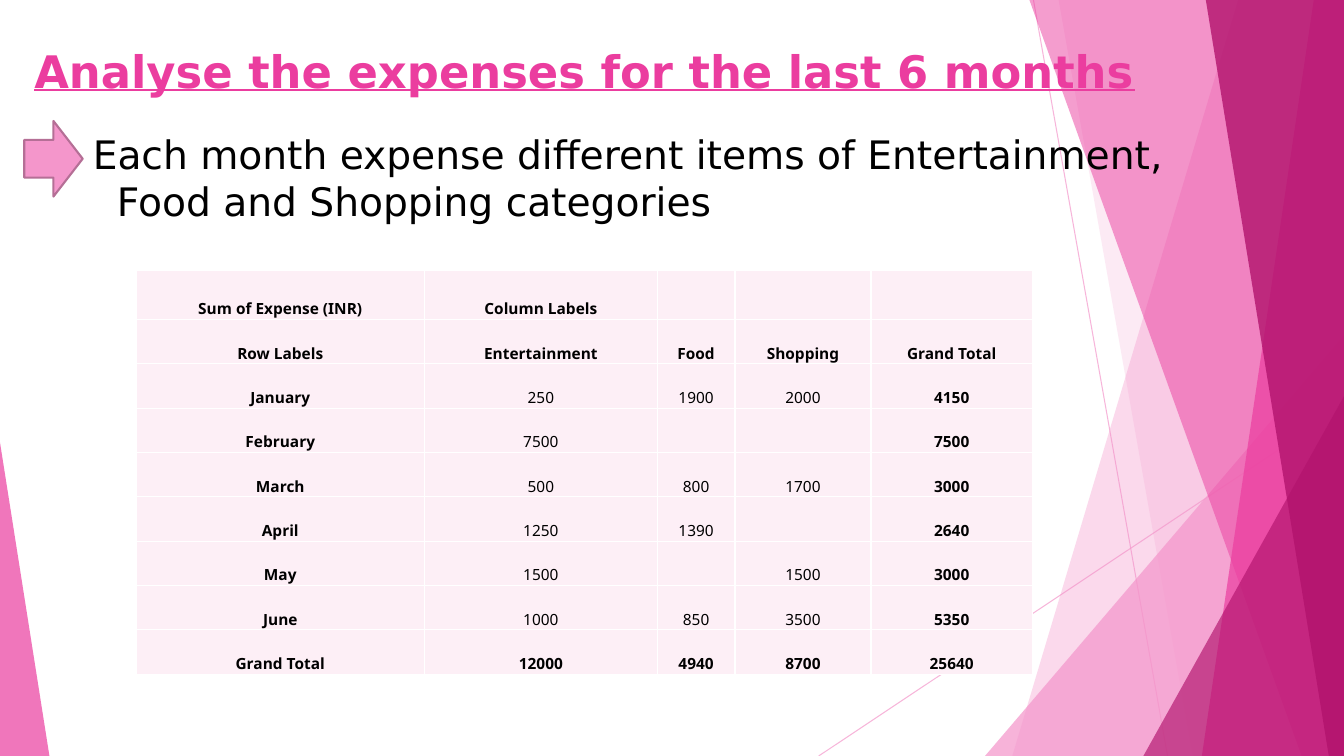
"""Build a slide that summarises six months of expenses."""
from dataclasses import dataclass

from lxml import etree
from pptx import Presentation
from pptx.dml.color import RGBColor
from pptx.enum.shapes import MSO_CONNECTOR, MSO_SHAPE
from pptx.enum.text import MSO_ANCHOR, PP_ALIGN
from pptx.oxml.ns import qn
from pptx.util import Inches, Pt

STRAIGHT = MSO_CONNECTOR.STRAIGHT
TRIANGLE, RIGHT_ARROW = MSO_SHAPE.ISOSCELES_TRIANGLE, MSO_SHAPE.RIGHT_ARROW
LEFT, CENTER = PP_ALIGN.LEFT, PP_ALIGN.CENTER
TOP, MIDDLE, BOTTOM = MSO_ANCHOR.TOP, MSO_ANCHOR.MIDDLE, MSO_ANCHOR.BOTTOM
WIDTH, HEIGHT = 13.33, 7.5
TITLE_ONLY = 5


@dataclass(frozen=True)
class Theme:
    """Colours, fonts and type sizes."""
    light: str = "F496CB"
    pink: str = "EB3D9F"
    dark: str = "B2136D"
    arrow_edge: str = "B56F96"
    cell: str = "FDEFF6"
    ink: str = "000000"
    white: str = "FFFFFF"
    font: str = "DejaVu Sans"
    table_font: str = "Noto Sans"
    title_size: int = 32
    body_size: int = 28
    table_size: int = 11


class SlideBuilder:
    """Hold the theme and the current slide, and draw elements on it."""

    def __init__(self, page, theme):
        """Keep the slide and its theme."""
        self.page = page
        self.theme = theme

    def paint(self, fmt, color, opacity=100):
        """Apply a solid colour with an opacity in percent."""
        fmt.solid()
        fmt.fore_color.rgb = RGBColor.from_string(color)
        if opacity < 100:
            for node in fmt.fore_color._xFill.iter(qn("a:srgbClr")):
                etree.SubElement(node, qn("a:alpha"), val=str(opacity * 1000))

    def style(self, para, size, color, font, bold=False, align=LEFT):
        """Set the font and alignment of a paragraph."""
        para.alignment = align
        para.font.size = Pt(size)
        para.font.name = font
        para.font.bold = bold
        para.font.color.rgb = RGBColor.from_string(color)

    def line(self, x1, y1, x2, y2):
        """Draw a thin translucent line."""
        line = self.page.shapes.add_connector(
            STRAIGHT, Inches(x1), Inches(y1), Inches(x2), Inches(y2))
        line.line.width = Pt(0.75)
        self.paint(line.line.fill, self.theme.light, 70)
        etree.SubElement(line.element.spPr, qn("a:effectLst"))

    def facet(self, top_x, bottom_x, color, opacity):
        """Draw a full-height facet that reaches the right edge."""
        builder = self.page.shapes.build_freeform(Inches(top_x), 0)
        corners = [(WIDTH, 0), (WIDTH, HEIGHT), (bottom_x, HEIGHT)]
        builder.add_line_segments([(Inches(x), Inches(y)) for x, y in corners])
        self.finish(builder.convert_to_shape(), color, opacity)

    def triangle(self, left, top, width, apex, color, opacity):
        """Draw a triangle that stands on the bottom edge."""
        shape = self.page.shapes.add_shape(
            TRIANGLE, Inches(left), Inches(top), Inches(width), Inches(HEIGHT - top))
        shape.adjustments[0] = apex
        self.finish(shape, color, opacity)

    def arrow(self, left, top, width, height):
        """Draw an outlined block arrow that points right."""
        shape = self.page.shapes.add_shape(
            RIGHT_ARROW, Inches(left), Inches(top), Inches(width), Inches(height))
        self.finish(shape, self.theme.light)
        self.paint(shape.line.fill, self.theme.arrow_edge)
        shape.line.width = Pt(1.5)

    def finish(self, shape, color, opacity=100):
        """Fill a shape and clear its outline and shadow."""
        shape.shadow.inherit = False
        self.paint(shape.fill, color, opacity)
        shape.line.fill.background()

    def title(self, text, left, top, width, height):
        """Fill the title placeholder and bring it to the front."""
        box = self.page.shapes.title
        box.left, box.top = Inches(left), Inches(top)
        box.width, box.height = Inches(width), Inches(height)
        box.element.getparent().append(box.element)
        frame = box.text_frame
        frame.text = text
        frame.vertical_anchor = TOP
        frame.margin_top = Inches(0.08)
        para = frame.paragraphs[0]
        self.style(para, self.theme.title_size, self.theme.pink, self.theme.font, True)
        para.font.underline = True

    def body(self, text, left, top, width, height, hanging):
        """Add a paragraph with a hanging indent."""
        box = self.page.shapes.add_textbox(
            Inches(left), Inches(top), Inches(width), Inches(height))
        frame = box.text_frame
        frame.word_wrap = True
        frame.vertical_anchor = MIDDLE
        frame.margin_left = 0
        frame.text = text
        para = frame.paragraphs[0]
        self.style(para, self.theme.body_size, self.theme.ink, self.theme.font)
        properties = para._p.get_or_add_pPr()
        properties.set("marL", str(Inches(hanging)))
        properties.set("indent", str(-Inches(hanging)))

    def table(self, rows, left, top, widths, heights):
        """Add a table with bold headers and totals."""
        table = self.page.shapes.add_table(
            len(rows), len(widths), Inches(left), Inches(top),
            Inches(sum(widths)), Inches(sum(heights))).table
        table.first_row = table.horz_banding = False
        for column, width in zip(table.columns, widths):
            column.width = Inches(width)
        for r, (row, values) in enumerate(zip(table.rows, rows)):
            row.height = Inches(heights[r])
            for c, value in enumerate(values):
                outer = r < 2 or r == len(rows) - 1 or c in (0, len(widths) - 1)
                self.cell(table.cell(r, c), value, outer)

    def cell(self, cell, value, bold):
        """Write and format one table cell."""
        cell.text = str(value)
        cell.vertical_anchor = BOTTOM
        cell.margin_left = cell.margin_right = cell.margin_top = Inches(0.01)
        cell.margin_bottom = 0
        self.style(cell.text_frame.paragraphs[0], self.theme.table_size,
                   self.theme.ink, self.theme.table_font, bold, CENTER)
        properties = cell._tc.get_or_add_tcPr()
        for side in ("lnL", "lnR", "lnT", "lnB"):
            border = etree.SubElement(properties, qn(f"a:{side}"), w=str(Pt(1)))
            fill = etree.SubElement(border, qn("a:solidFill"))
            etree.SubElement(fill, qn("a:srgbClr"), val=self.theme.white)
        self.paint(cell.fill, self.theme.cell)


EXPENSES = [
    ["Sum of Expense (INR)", "Column Labels", "", "", ""],
    ["Row Labels", "Entertainment", "Food", "Shopping", "Grand Total"],
    ["January", 250, 1900, 2000, 4150],
    ["February", 7500, "", "", 7500],
    ["March", 500, 800, 1700, 3000],
    ["April", 1250, 1390, "", 2640],
    ["May", 1500, "", 1500, 3000],
    ["June", 1000, 850, 3500, 5350],
    ["Grand Total", 12000, 4940, 8700, 25640],
]


def main():
    """Build the deck and save it."""
    deck = Presentation()
    deck.slide_width, deck.slide_height = Inches(WIDTH), Inches(HEIGHT)
    theme = Theme()
    slide = SlideBuilder(deck.slides.add_slide(deck.slide_layouts[TITLE_ONLY]), theme)

    slide.line(10.25, 0, 11.58, HEIGHT)
    slide.line(WIDTH, 4.03, 8.12, HEIGHT)
    slide.facet(12.28, 10.04, theme.light, 36)
    slide.facet(10.5, 11.83, theme.light, 20)
    slide.triangle(9.77, 3.33, 3.56, 1, theme.light, 72)
    slide.facet(10.21, 12.91, theme.pink, 50)
    slide.facet(13.03, 11.92, theme.pink, 70)
    slide.facet(11.96, 13.18, theme.dark, 80)
    slide.triangle(11.34, 3.93, 1.99, 1, theme.dark, 66)
    slide.triangle(0, 4.39, 0.49, 0, theme.pink, 70)

    slide.title("Analyse the expenses for the last 6 months", 0.24, 0.35, 12.15, 0.84)
    slide.arrow(0.24, 1.2, 0.58, 0.75)
    slide.body("Each month expense different items of Entertainment, "
               "Food and Shopping categories", 0.92, 0.61, 11.59, 2.29, 0.24)
    slide.table(EXPENSES, 1.35, 2.68, [2.86, 2.31, 0.77, 1.35, 1.6],
                [0.49] + [0.44] * (len(EXPENSES) - 1))
    deck.save("out.pptx")


if __name__ == "__main__":
    main()
